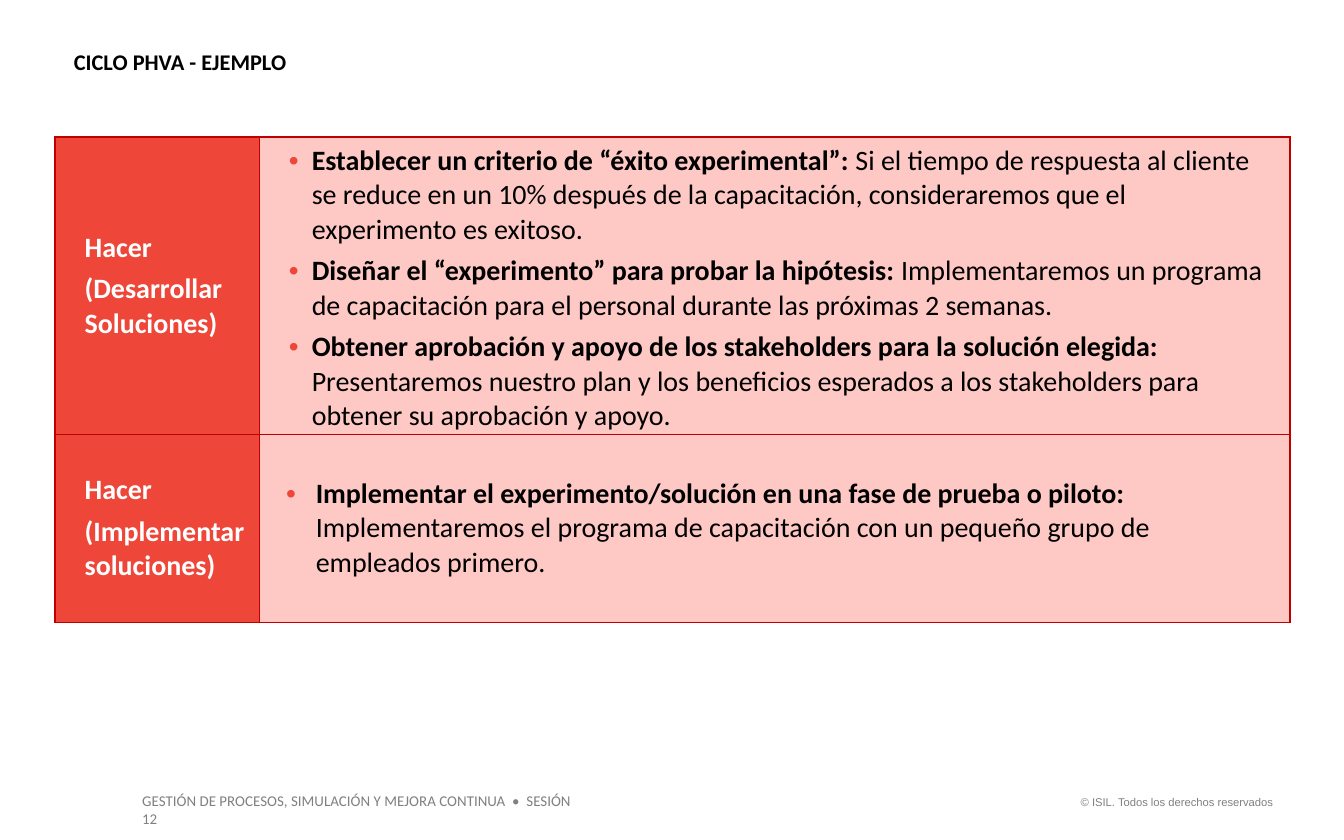
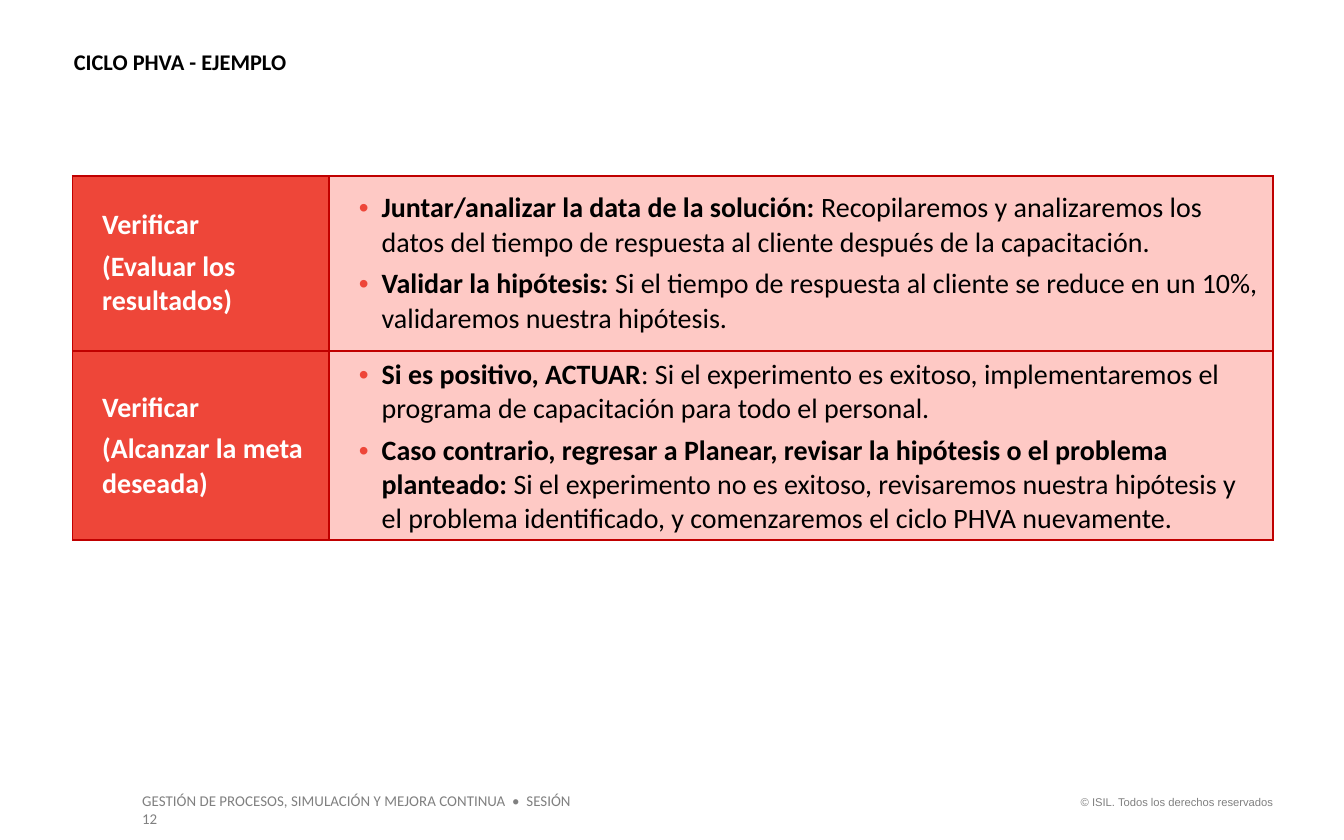
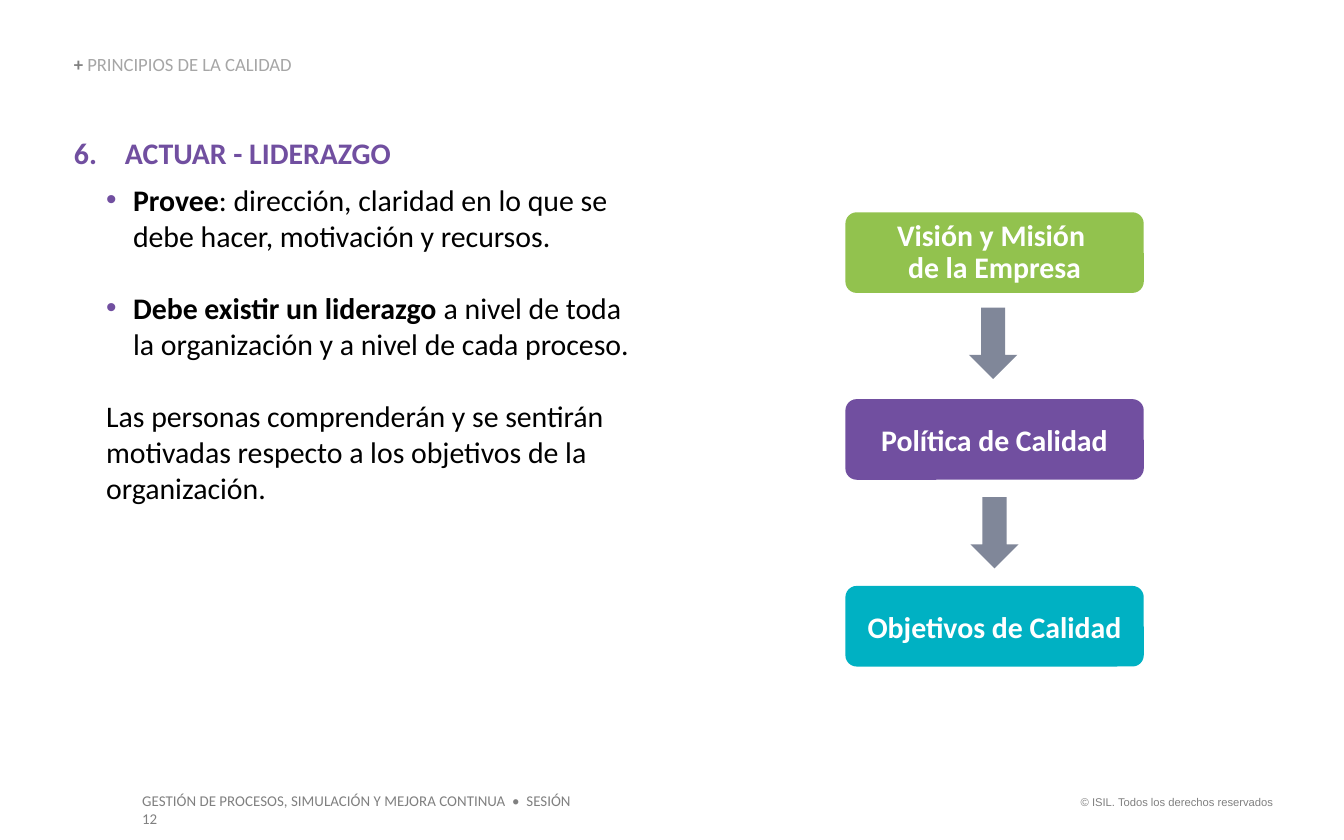
from lxml import etree
from pptx import Presentation
from pptx.dml.color import RGBColor
from pptx.enum.shapes import MSO_SHAPE as Shape
from pptx.enum.text import MSO_ANCHOR as Anchor, PP_ALIGN as Align
from pptx.oxml.ns import qn
from pptx.util import Inches, Pt

BLACK = RGBColor(0x00, 0x00, 0x00)
WHITE = RGBColor(0xFF, 0xFF, 0xFF)
GREY = RGBColor(0x80, 0x80, 0x80)
LIGHT_GREY = RGBColor(0xA6, 0xA6, 0xA6)
ARROW_GREY = RGBColor(0x80, 0x87, 0x99)
RED = RGBColor(0xEE, 0x46, 0x39)
DARK_RED = RGBColor(0xC0, 0x00, 0x00)
PINK = RGBColor(0xFE, 0xC9, 0xC5)
PURPLE = RGBColor(0x71, 0x4F, 0xA0)
GREEN = RGBColor(0x92, 0xC2, 0x4E)
TEAL = RGBColor(0x00, 0xB1, 0xC3)

COURSE = "GESTIÓN DE PROCESOS, SIMULACIÓN Y MEJORA CONTINUA  •  SESIÓN 12"
RIGHTS = "© ISIL. Todos los derechos reservados"


def add_element(parent, tag, **attributes):
    return etree.SubElement(parent, qn(tag), attributes)


def set_indent(para, left, hanging=0):
    properties = para._p.get_or_add_pPr()
    properties.set("marL", str(Inches(left)))
    properties.set("indent", str(-Inches(hanging)))
    return properties


def set_bullet(para, color, left, hanging):
    properties = set_indent(para, left, hanging)
    fill = add_element(properties, "a:buClr")
    add_element(fill, "a:srgbClr", val=str(color))
    add_element(properties, "a:buFont", typeface="Arial")
    add_element(properties, "a:buChar", char="•")


def set_number(para, start, left):
    properties = set_indent(para, left, left)
    add_element(properties, "a:buFont", typeface="+mj-lt")
    add_element(properties, "a:buAutoNum", type="arabicPeriod", startAt=str(start))


def set_borders(cell, color, width):
    properties = cell._tc.get_or_add_tcPr()
    for position, side in enumerate(("a:lnL", "a:lnR", "a:lnT", "a:lnB")):
        line = etree.Element(qn(side), w=str(Pt(width)))
        fill = add_element(line, "a:solidFill")
        add_element(fill, "a:srgbClr", val=str(color))
        properties.insert(position, line)


class SlideWriter:
    """Holds the deck style and writes on the current slide."""

    font = "Calibri"

    def __init__(self):
        self.deck = Presentation()
        self.deck.slide_width = Inches(10)
        self.deck.slide_height = Inches(6.25)
        self.page = None

    def new_page(self, *title_spans, size=12):
        self.page = self.deck.slides.add_slide(self.deck.slide_layouts[6])
        # Footer
        rights = self.text_box(7.88, 5.87, 1.69, 0.2, 0.1, 0.05)
        rights.paragraphs[0].alignment = Align.RIGHT
        self.add_span(rights.paragraphs[0], RIGHTS, 6, GREY, font="Arial")
        course = self.text_box(0.96, 5.84, 3.53, 0.24, 0.1, 0.05)
        self.add_span(course.paragraphs[0], COURSE, 8, GREY)
        # Title
        height = size * 0.015
        title = self.text_box(0.55, 0.56 - height, 2.66, height)
        title.vertical_anchor = Anchor.BOTTOM
        title.paragraphs[0].line_spacing = 0.9
        for text, color, bold in title_spans:
            self.add_span(title.paragraphs[0], text, size, color, bold)

    def text_box(self, left, top, width, height, side=0, edge=0):
        box = self.page.shapes.add_textbox(
            Inches(left), Inches(top), Inches(width), Inches(height))
        frame = box.text_frame
        frame.word_wrap = True
        frame.margin_left = frame.margin_right = Inches(side)
        frame.margin_top = frame.margin_bottom = Inches(edge)
        return frame

    def style_span(self, span, size, color, bold=False, font=None):
        span.font.name = font or self.font
        span.font.size = Pt(size)
        span.font.bold = bold
        span.font.color.rgb = color

    def add_span(self, para, text, size, color, bold=False, font=None):
        span = para.add_run()
        span.text = text
        self.style_span(span, size, color, bold, font)

    def add_paragraph(self, frame, space_before=0):
        """Return the empty first paragraph, or a new one set apart."""
        if not frame.paragraphs[0].runs:
            return frame.paragraphs[0]
        para = frame.add_paragraph()
        para.space_before = Pt(space_before)
        return para

    def stage_table(self, left, top, widths, heights, stages):
        """Draw one row per stage: (label lines, points, bullet indents)."""
        table = self.page.shapes.add_table(
            len(heights), len(widths), Inches(left), Inches(top),
            Inches(sum(widths)), Inches(sum(heights))).table
        table.first_row = table.horz_banding = False
        for column, width in zip(table.columns, widths):
            column.width = Inches(width)
        for row, height, (labels, points, indents) in zip(table.rows, heights, stages):
            row.height = Inches(height)
            label_cell, points_cell = row.cells
            for cell, color in ((label_cell, RED), (points_cell, PINK)):
                cell.fill.solid()
                cell.fill.fore_color.rgb = color
                cell.vertical_anchor = Anchor.MIDDLE
                set_borders(cell, DARK_RED, 1)
            for label in labels:
                para = self.add_paragraph(label_cell.text_frame, 4)
                set_indent(para, 0.12)
                self.add_span(para, label, 15, WHITE, True)
            for heading, detail in points:
                para = self.add_paragraph(points_cell.text_frame, 4)
                set_bullet(para, RED, *indents)
                self.add_span(para, heading, 15, BLACK, True)
                self.add_span(para, detail, 15, BLACK)

    def shape(self, kind, left, top, width, height, color):
        shape = self.page.shapes.add_shape(
            kind, Inches(left), Inches(top), Inches(width), Inches(height))
        shape.shadow.inherit = False
        shape.fill.solid()
        shape.fill.fore_color.rgb = color
        shape.line.fill.background()
        return shape

    def level_box(self, left, top, width, height, color, text):
        box = self.shape(Shape.ROUNDED_RECTANGLE, left, top, width, height, color)
        box.adjustments[0] = 0.14
        frame = box.text_frame
        frame.word_wrap = True
        frame.vertical_anchor = Anchor.MIDDLE
        para = frame.paragraphs[0]
        para.text = text
        para.alignment = Align.CENTER
        para.line_spacing = 0.9 if "\v" in text else 1.0
        for span in para.runs:
            self.style_span(span, 16, WHITE, True)


NARROW = (0.29, 0.17)
WIDE = (0.32, 0.22)
CYCLE_TITLE = ("CICLO PHVA - EJEMPLO", BLACK, True)


def build_do_page(writer):
    writer.new_page(CYCLE_TITLE)
    writer.stage_table(0.41, 1.02, (1.52, 7.67), (2.21, 1.4), [
        (("Hacer", "(Desarrollar Soluciones)"), [
            ("Establecer un criterio de “éxito experimental”: ",
             "Si el tiempo de respuesta al cliente se reduce en un 10% después de la "
             "capacitación, consideraremos que el experimento es exitoso."),
            ("Diseñar el “experimento” para probar la hipótesis: ",
             "Implementaremos un programa de capacitación para el personal durante "
             "las próximas 2 semanas."),
            ("Obtener aprobación y apoyo de los stakeholders para la solución elegida: ",
             "Presentaremos nuestro plan y los beneficios esperados a los stakeholders "
             "para obtener su aprobación y apoyo."),
        ], NARROW),
        (("Hacer", "(Implementar soluciones)"), [
            ("Implementar el experimento/solución en una fase de prueba o piloto: ",
             "Implementaremos el programa de capacitación con un pequeño grupo de "
             "empleados primero."),
        ], WIDE),
    ])


def build_check_page(writer):
    writer.new_page(CYCLE_TITLE)
    writer.stage_table(0.54, 1.31, (1.91, 7.02), (1.3, 1.41), [
        (("Verificar", "(Evaluar los resultados)"), [
            ("Juntar/analizar la data de la solución: ",
             "Recopilaremos y analizaremos los datos del tiempo de respuesta al "
             "cliente después de la capacitación."),
            ("Validar la hipótesis: ",
             "Si el tiempo de respuesta al cliente se reduce en un 10%, validaremos "
             "nuestra hipótesis."),
        ], NARROW),
        (("Verificar", "(Alcanzar la meta deseada)"), [
            ("Si es positivo, ACTUAR",
             ": Si el experimento es exitoso, implementaremos el programa de "
             "capacitación para todo el personal."),
            ("Caso contrario, regresar a Planear, revisar la hipótesis o el problema "
             "planteado: ",
             "Si el experimento no es exitoso, revisaremos nuestra hipótesis y el "
             "problema identificado, y comenzaremos el ciclo PHVA nuevamente."),
        ], NARROW),
    ])


def build_leadership_page(writer):
    writer.new_page(("+ ", GREY, True), ("PRINCIPIOS DE LA CALIDAD", LIGHT_GREY, False),
                    size=10)

    # Leadership text
    line_gap = 19.5
    frame = writer.text_box(0.55, 1, 4.25, 2.78)
    heading = writer.add_paragraph(frame)
    heading.space_after = Pt(6)
    set_number(heading, 6, 0.38)
    writer.add_span(heading, "ACTUAR - LIDERAZGO", 16, PURPLE, True)
    points = [
        ("Provee", ": dirección, claridad en lo que se debe hacer, motivación y recursos.", 0),
        ("Debe existir un liderazgo",
         " a nivel de toda la organización y a nivel de cada proceso.", line_gap),
    ]
    for key, detail, gap in points:
        para = writer.add_paragraph(frame, gap)
        set_bullet(para, PURPLE, 0.44, 0.2)
        writer.add_span(para, key, 16, BLACK, True)
        writer.add_span(para, detail, 16, BLACK)
    closing = writer.add_paragraph(frame, line_gap)
    set_indent(closing, 0.24)
    writer.add_span(closing, "Las personas comprenderán y se sentirán motivadas respecto "
                    "a los objetivos de la organización.", 16, BLACK)

    # Levels from vision to objectives
    levels = [
        ("Visión y Misión \vde la Empresa", GREEN),
        ("Política de Calidad", PURPLE),
        ("Objetivos de Calidad", TEAL),
    ]
    for index, (text, color) in enumerate(levels):
        writer.level_box(6.29, 1.58 + 1.39 * index, 2.22, 0.6, color, text)
    for index in range(len(levels) - 1):
        writer.shape(Shape.DOWN_ARROW, 7.21 + 0.01 * index, 2.29 + 1.41 * index,
                     0.36, 0.53, ARROW_GREY)


def main():
    writer = SlideWriter()
    build_do_page(writer)
    build_check_page(writer)
    build_leadership_page(writer)
    writer.deck.save("out.pptx")


if __name__ == "__main__":
    main()
